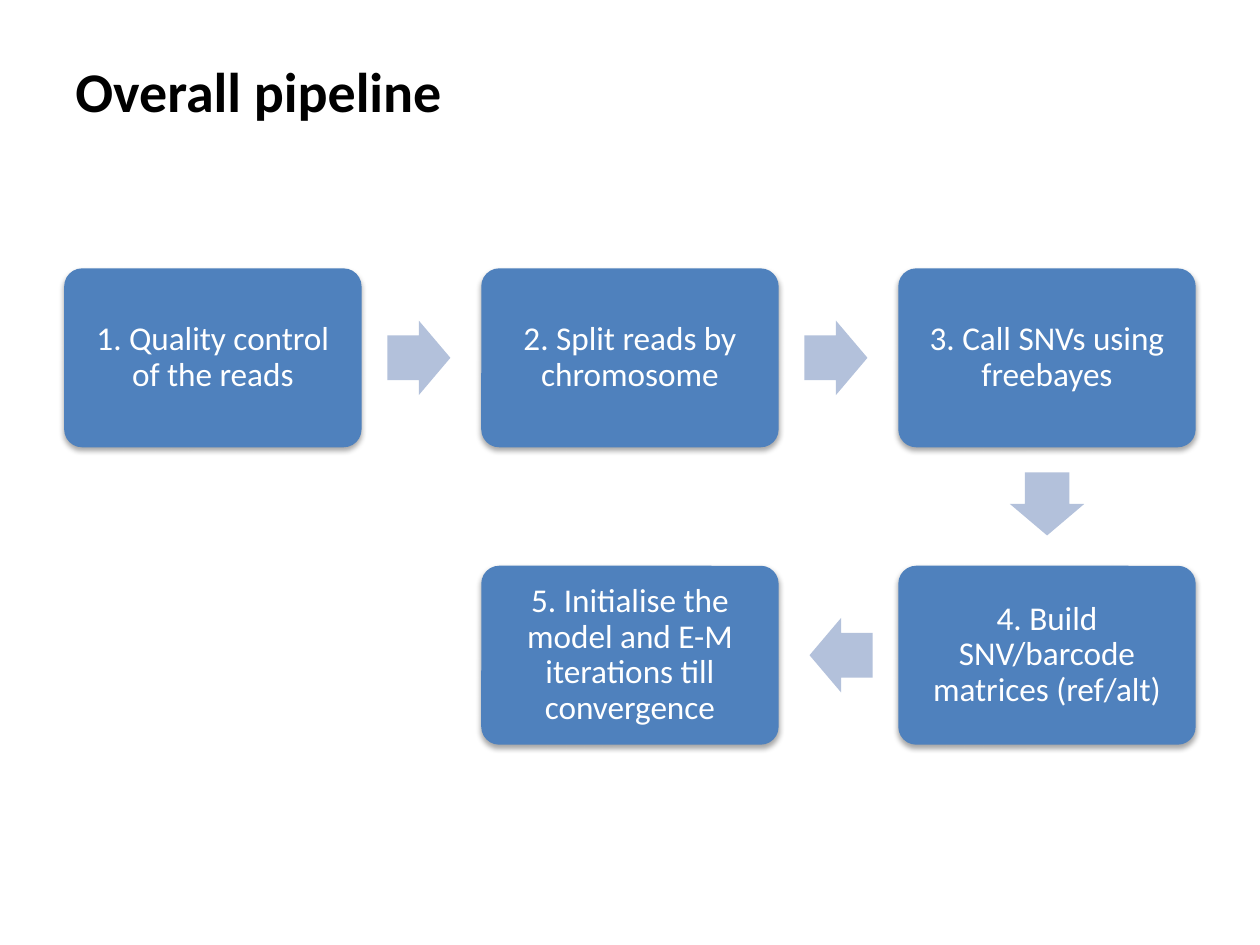
from lxml import etree
from pptx import Presentation
from pptx.dml.color import RGBColor
from pptx.enum.shapes import MSO_SHAPE
from pptx.enum.text import MSO_ANCHOR, PP_ALIGN
from pptx.oxml.ns import qn
from pptx.util import Inches, Pt

ROUNDED, ARROW = MSO_SHAPE.ROUNDED_RECTANGLE, MSO_SHAPE.RIGHT_ARROW
MIDDLE, LEFT, CENTER = MSO_ANCHOR.MIDDLE, PP_ALIGN.LEFT, PP_ALIGN.CENTER

# Content: each step with its column and row
TITLE = "Overall pipeline"
STEPS = [
    ("1. Quality control of the reads", 0, 0),
    ("2. Split reads by chromosome", 1, 0),
    ("3. Call SNVs using freebayes", 2, 0),
    ("4. Build SNV/barcode matrices (ref/alt)", 2, 1),
    ("5. Initialise the model and E-M iterations till convergence", 1, 1),
]
COLORS = {"title": "000000", "box": "4F81BD", "text": "FFFFFF",
          "arrow": "B3C1DB", "shadow": "000000"}

# Grid, in inches
X0, Y0 = 0.51, 2.13
STEP_X, STEP_Y = 3.31, 2.36
BOX_W, BOX_H = 2.36, 1.42
ARROW_W, ARROW_H = 0.5, 0.59
ARROW_SETBACK = 0.02
ROTATION = {(1, 0): 0, (0, 1): 90, (-1, 0): 180}


def rgb(name):
    return RGBColor.from_string(COLORS[name])


def write(sp, text, size, color, align, bold=False):
    tf = sp.text_frame
    tf.word_wrap = True
    tf.vertical_anchor = MIDDLE
    tf.text = text
    p = tf.paragraphs[0]
    p.alignment = align
    font = p.runs[0].font
    font.name, font.size, font.bold = "Calibri", Pt(size), bold
    font.color.rgb = rgb(color)
    return p


def add_filled(slide, kind, x, y, w, h, color, adjustments):
    sp = slide.shapes.add_shape(kind, Inches(x), Inches(y), Inches(w), Inches(h))
    for i, value in enumerate(adjustments):
        sp.adjustments[i] = value
    sp.shadow.inherit = False
    sp.fill.solid()
    sp.fill.fore_color.rgb = rgb(color)
    sp.line.fill.background()
    return sp


def add_shadow(sp):
    effects = sp._element.spPr.find(qn("a:effectLst"))
    shadow = etree.SubElement(effects, qn("a:outerShdw"), blurRad=str(Pt(3.1)),
                              dist=str(Pt(1.8)), dir="5400000", rotWithShape="0")
    color = etree.SubElement(shadow, qn("a:srgbClr"), val=COLORS["shadow"])
    etree.SubElement(color, qn("a:alpha"), val="35000")


def add_step(slide, text, col, row):
    sp = add_filled(slide, ROUNDED, X0 + col * STEP_X, Y0 + row * STEP_Y,
                    BOX_W, BOX_H, "box", [0.1])
    add_shadow(sp)
    tf = sp.text_frame
    tf.margin_left = tf.margin_right = Inches(0.08)
    tf.margin_top = tf.margin_bottom = Inches(0.08)
    write(sp, text, 19, "text", CENTER).line_spacing = 0.9


def add_arrow(slide, start, end):
    """Centre an arrow in the gap, set back slightly towards its start."""
    dx, dy = end[0] - start[0], end[1] - start[1]
    cx = X0 + BOX_W / 2 + (start[0] + end[0]) / 2 * STEP_X - dx * ARROW_SETBACK
    cy = Y0 + BOX_H / 2 + (start[1] + end[1]) / 2 * STEP_Y - dy * ARROW_SETBACK
    sp = add_filled(slide, ARROW, cx - ARROW_W / 2, cy - ARROW_H / 2,
                    ARROW_W, ARROW_H, "arrow", [0.6, 0.5])
    sp.rotation = ROTATION[dx, dy]


def main():
    prs = Presentation()
    prs.slide_width, prs.slide_height = Inches(10), Inches(7.5)
    slide = prs.slides.add_slide(prs.slide_layouts[6])

    # Title
    title = slide.shapes.add_textbox(Inches(0.5), Inches(0.3), Inches(9), Inches(0.83))
    write(title, TITLE, 32, "title", LEFT, bold=True)

    # Steps and the arrows between them
    for step in STEPS:
        add_step(slide, *step)
    for (_, *start), (_, *end) in zip(STEPS, STEPS[1:]):
        add_arrow(slide, start, end)

    prs.save("out.pptx")


if __name__ == "__main__":
    main()
